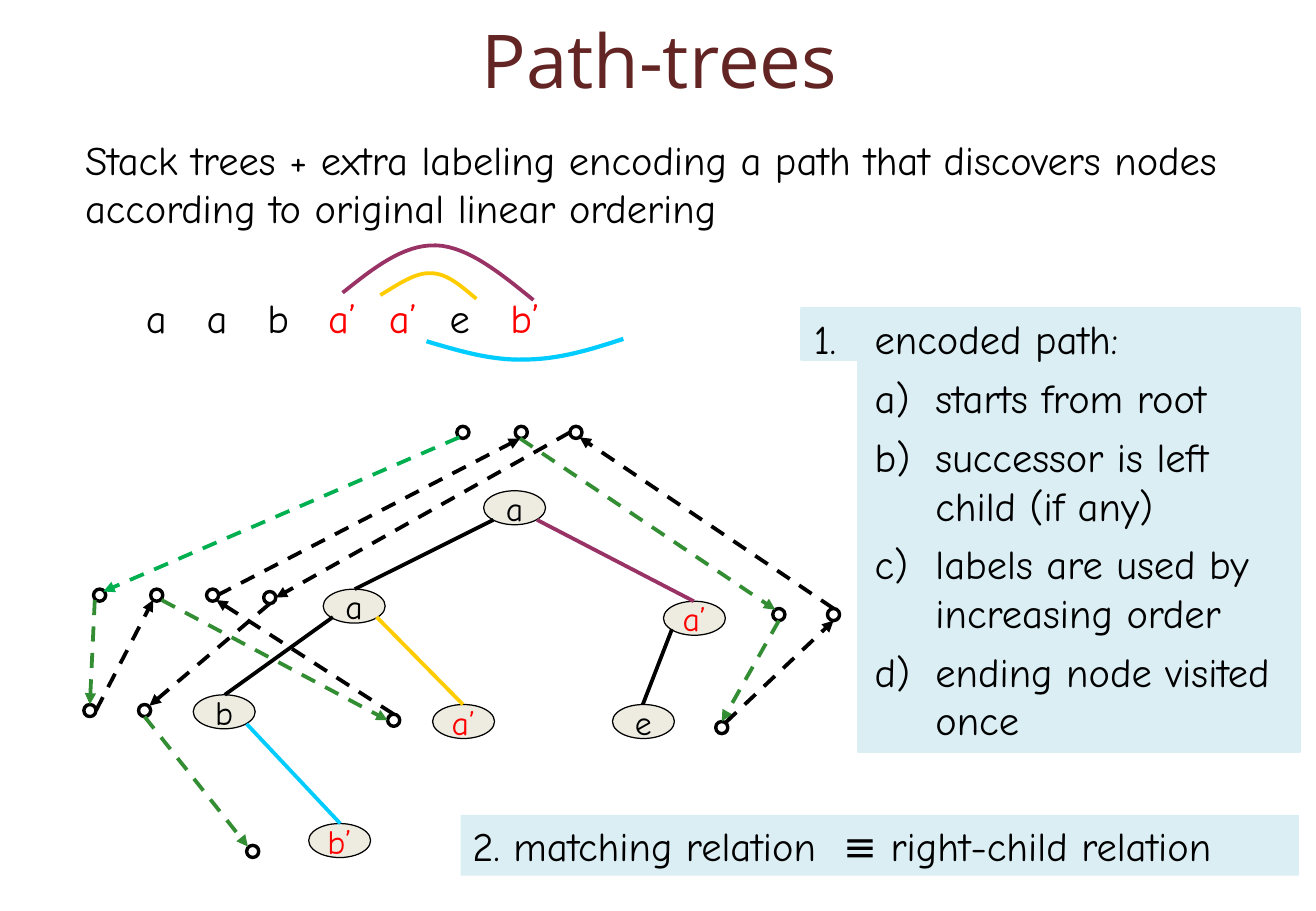
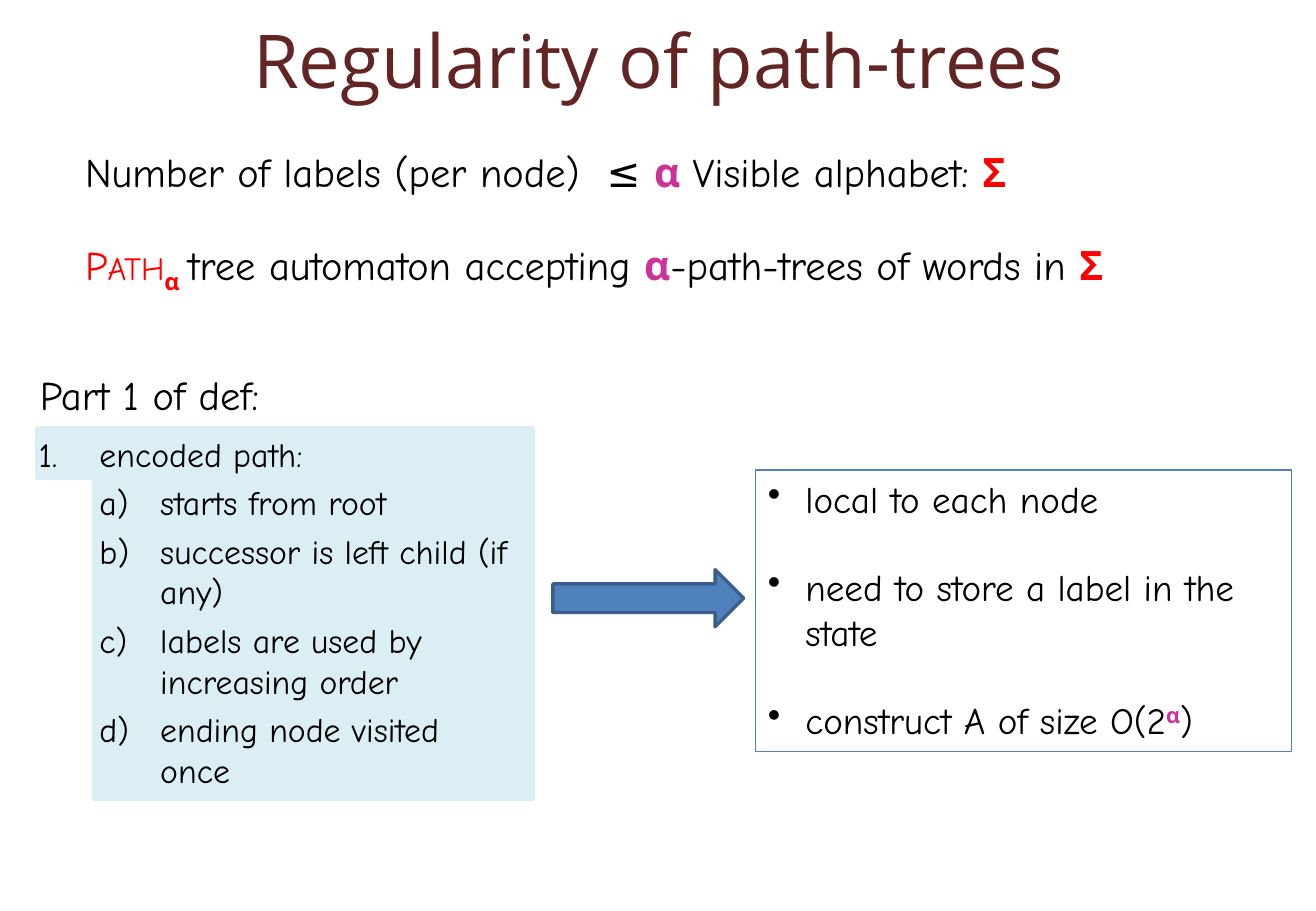
import dataclasses
import typing

import lxml.etree
import pptx
import pptx.dml.color
import pptx.enum.dml
import pptx.enum.shapes
import pptx.enum.text
import pptx.oxml.ns
import pptx.util

Inches, Pt = pptx.util.Inches, pptx.util.Pt
RGB = pptx.dml.color.RGBColor
Shape = pptx.enum.shapes.MSO_SHAPE
Anchor = pptx.enum.text.MSO_ANCHOR
Align = pptx.enum.text.PP_ALIGN
qn = pptx.oxml.ns.qn

BLACK = RGB(0, 0, 0)
WHITE = RGB(255, 255, 255)
RED = RGB(255, 0, 0)
BROWN = RGB(0x63, 0x25, 0x23)
PALE = RGB(0xDB, 0xEE, 0xF4)
CREAM = RGB(0xEE, 0xEC, 0xE1)
GOLD = RGB(0xFF, 0xCC, 0)
PLUM = RGB(0x99, 0x33, 0x66)
CYAN = RGB(0, 0xCC, 0xFF)
LEAF = RGB(0, 0xB0, 0x50)
GREEN = RGB(0x33, 0x8D, 0x33)
PINK = RGB(0xCC, 0x33, 0x99)
BLUE = RGB(0x4F, 0x81, 0xBD)
NAVY = RGB(0x3A, 0x5F, 0x8C)
HEAD, BODY = "Open Sans", "Comic Neue"


@dataclasses.dataclass
class Run:
    """A stretch of text with its own look."""
    text: str
    color: RGB = BLACK
    bold: bool = False
    base: int = 0
    caps: bool = False


@dataclasses.dataclass
class Para:
    """A paragraph: runs, space before in points, indents and tabs in inches."""
    runs: list[Run]
    before: float = 0
    left: float = 0
    hang: float = 0
    level: int = 0
    mark: tuple[str, str, str] | None = None
    tabs: tuple[float, ...] = ()


@dataclasses.dataclass
class Node:
    """A labelled tree node."""
    x: float
    y: float
    label: str
    color: RGB = BLACK


@dataclasses.dataclass
class Edge:
    """A straight line between two points."""
    start: tuple[float, float]
    end: tuple[float, float]
    color: RGB = BLACK


@dataclasses.dataclass
class Arc:
    """A chain of cubic curves: a start, then three points for each curve."""
    color: RGB
    width: float
    points: list[tuple[float, float]]


ROMAN = ("buAutoNum", "type", "arabicPeriod")
ALPHA = ("buAutoNum", "type", "alphaLcParenR")
DOT = ("buChar", "char", "•")


def put(para: typing.Any, text: str, *, size: float = 24, color: RGB = BLACK,
        font: str = BODY, bold: bool = False, base: int = 0,
        caps: bool = False) -> None:
    """Add formatted text to a paragraph."""
    run = para.add_run()
    run.text = text
    run.font.size, run.font.name, run.font.bold = Pt(size), font, bold
    run.font.color.rgb = color
    props = run._r.get_or_add_rPr()
    if base:
        props.set("baseline", str(base * 1000))
    if caps:
        props.set("cap", "small")


def fill_text(shape: typing.Any, paras: list[Para], size: float = 24,
              font: str = BODY, align: Align = Align.LEFT,
              anchor: Anchor = Anchor.TOP, wrap: bool = True) -> None:
    """Write paragraphs into a shape."""
    frame = shape.text_frame
    frame.auto_size = pptx.enum.text.MSO_AUTO_SIZE.NONE
    frame.word_wrap, frame.vertical_anchor = wrap, anchor
    for i, item in enumerate(paras):
        para = frame.add_paragraph() if i else frame.paragraphs[0]
        para.alignment, para.level = align, item.level
        para.space_before = Pt(item.before)
        props = para._p.get_or_add_pPr()
        props.set("marL", str(Inches(item.left)))
        props.set("indent", str(Inches(-item.hang)))
        tag, key, value = item.mark or ("buNone", "", "")
        mark = lxml.etree.SubElement(props, qn("a:" + tag))
        if key:
            mark.set(key, value)
        if item.tabs:
            stops = lxml.etree.SubElement(props, qn("a:tabLst"))
            for stop in item.tabs:
                lxml.etree.SubElement(stops, qn("a:tab"),
                                      pos=str(Inches(stop)), algn="l")
        for run in item.runs:
            put(para, run.text, size=size, font=font, color=run.color,
                bold=run.bold, base=run.base, caps=run.caps)


def place(shape: typing.Any, x: float, y: float, w: float, h: float) -> None:
    """Move and size a shape, in inches."""
    shape.left, shape.top = Inches(x), Inches(y)
    shape.width, shape.height = Inches(w), Inches(h)


def start(deck: typing.Any, title: str, paras: list[Para], top: float,
          width: float, height: float) -> typing.Any:
    """Add a slide with its title and body text."""
    slide = deck.slides.add_slide(deck.slide_layouts[1])
    place(slide.shapes.title, 0.55, -0.35, 9.75, 1.25)
    fill_text(slide.shapes.title, [Para([Run(title, BROWN)])], 44, HEAD,
              Align.CENTER, Anchor.BOTTOM)
    body = slide.placeholders[1]
    place(body, 0.6, top, width, height)
    fill_text(body, paras)
    return slide


def draw(shapes: typing.Any, kind: Shape, x: float, y: float, w: float,
         h: float, fill: RGB | None = None, line: RGB | None = None,
         width: float = 2) -> typing.Any:
    """Add a preset shape."""
    shape = shapes.add_shape(kind, Inches(x), Inches(y), Inches(w), Inches(h))
    shape.shadow.inherit = False
    for part, color in ((shape.fill, fill), (shape.line.fill, line)):
        if color is None:
            part.background()
        else:
            part.solid()
            part.fore_color.rgb = color
    if line is not None:
        shape.line.width = Pt(width)
    return shape


def write(shapes: typing.Any, x: float, y: float, w: float, h: float,
          paras: list[Para], size: float = 24, wrap: bool = True) -> None:
    """Add a text box."""
    box = shapes.add_textbox(Inches(x), Inches(y), Inches(w), Inches(h))
    fill_text(box, paras, size, wrap=wrap)


def join(shapes: typing.Any, edge: Edge, arrow: bool = False) -> None:
    """Draw an edge, or a dashed arrow."""
    line = shapes.add_connector(
        pptx.enum.shapes.MSO_CONNECTOR.STRAIGHT,
        *(Inches(v) for v in edge.start + edge.end))
    line.line.color.rgb, line.line.width = edge.color, Pt(2.25)
    if arrow:
        line.line.dash_style = pptx.enum.dml.MSO_LINE.DASH
        lxml.etree.SubElement(line.line._get_or_add_ln(), qn("a:tailEnd"),
                              type="triangle")
    lxml.etree.SubElement(line._element.spPr, qn("a:effectLst"))


def bend(shapes: typing.Any, arc: Arc, steps: int = 16) -> None:
    """Draw a smooth open curve."""
    dots = [arc.points[0]]
    for i in range(0, len(arc.points) - 1, 3):
        a, b, c, d = arc.points[i:i + 4]
        for n in range(1, steps + 1):
            t = n / steps
            u = 1 - t
            dots.append(tuple(u**3 * p + 3 * u * u * t * q + 3 * u * t * t * r
                              + t**3 * s for p, q, r, s in zip(a, b, c, d)))
    spots = [(Inches(x), Inches(y)) for x, y in dots]
    pen = shapes.build_freeform(*spots[0])
    pen.add_line_segments(spots[1:], close=False)
    curve = pen.convert_to_shape()
    curve.shadow.inherit = False
    curve.fill.background()
    curve.line.color.rgb, curve.line.width = arc.color, Pt(arc.width)


def rules(shapes: typing.Any, x: float, y: float, high: float, shift: float,
          box: tuple[float, float], size: float, gap: float) -> None:
    """Draw the list of path rules on its stepped panel."""
    draw(shapes, Shape.RECTANGLE, x, y, 4.09, 0.42, PALE, PALE)
    draw(shapes, Shape.RECTANGLE, x + 0.47, y + 0.42, 3.62, high, PALE, PALE)
    items = ["starts from root", "successor is left child (if any)",
             "labels are used by increasing order", "ending node visited once"]
    paras = [Para([Run("encoded path:")], 0, 0.5, 0.5, 0, ROMAN)]
    paras += [Para([Run(i)], gap, 1, 0.5, 1, ALPHA) for i in items]
    write(shapes, x + shift, y, *box, paras, size)


NODES = [Node(3.98, 4.04, "a"), Node(2.66, 4.85, "a"), Node(1.59, 5.72, "b"),
         Node(2.54, 6.78, "b’", RED), Node(3.56, 5.8, "a’", RED),
         Node(5.46, 4.95, "a’", RED), Node(5.04, 5.8, "e")]
EDGES = [Edge((4.06, 4.28), (2.92, 4.85)), Edge((2.74, 5.08), (1.85, 5.72)),
         Edge((3.1, 5.08), (3.81, 5.8), GOLD),
         Edge((4.42, 4.28), (5.71, 4.95), PLUM),
         Edge((5.53, 5.18), (5.29, 5.8)),
         Edge((2.03, 5.96), (2.8, 6.78), CYAN)]
ARCS = [Arc(GOLD, 2.25, [(3.13, 2.43), (3.28, 2.34), (3.42, 2.24), (3.55, 2.25),
                         (3.68, 2.25), (3.8, 2.36), (3.92, 2.46)]),
        Arc(PLUM, 2.25, [(2.82, 2.41), (3.07, 2.21), (3.32, 2.01), (3.59, 2.02),
                         (3.85, 2.03), (4.12, 2.25), (4.39, 2.47)]),
        Arc(CYAN, 2.5, [(3.51, 2.81), (3.78, 2.89), (4.05, 2.97), (4.32, 2.96),
                        (4.59, 2.96), (4.86, 2.88), (5.13, 2.79)])]
STOPS = [(3.76, 3.51), (4.24, 3.51), (4.69, 3.51), (0.77, 4.85), (1.24, 4.85),
         (1.7, 4.85), (2.17, 4.87), (6.36, 5.01), (6.81, 5.01), (0.69, 5.8),
         (1.14, 5.8), (2.03, 6.96), (3.19, 5.88), (5.89, 5.94)]
STEPS = [Edge((3.78, 3.6), (0.85, 4.87), LEAF),
         Edge((0.78, 4.94), (0.74, 5.8), GREEN),
         Edge((0.79, 5.85), (1.26, 4.94)),
         Edge((1.33, 4.94), (3.19, 5.93), GREEN),
         Edge((3.24, 5.88), (1.78, 4.94)), Edge((1.79, 4.9), (4.28, 3.61)),
         Edge((4.28, 3.61), (6.38, 5.02), GREEN),
         Edge((6.41, 5.11), (5.94, 5.94), GREEN),
         Edge((5.97, 5.95), (6.86, 5.11)), Edge((6.86, 5.01), (4.77, 3.6)),
         Edge((4.69, 3.56), (2.27, 4.92)), Edge((2.22, 4.97), (1.23, 5.81)),
         Edge((1.19, 5.9), (2.04, 6.97), GREEN)]


def trees(deck: typing.Any) -> None:
    """Build the slide on path-trees."""
    word = [Run("\t" + s, RED if "’" in s else BLACK)
            for s in ("a", "a", "b", "a’", "a’", "e", "b’")]
    intro = ("Stack trees + extra labeling encoding a path that discovers "
             "nodes according to original linear ordering")
    slide = start(deck, "Path-trees", [
        Para([Run(intro)], 4.8),
        Para(word, 36, tabs=(2.01, 2.4, 2.8, 3.19, 3.65, 4.11, 4.5))],
        1.06, 9.85, 2.01)
    shapes = slide.shapes
    for node in NODES:
        oval = draw(shapes, Shape.FLOWCHART_CONNECTOR, node.x, node.y, 0.51,
                    0.28, CREAM, BLACK, 0.75)
        fill_text(oval, [Para([Run(node.label, node.color)])], 20,
                  align=Align.CENTER, anchor=Anchor.MIDDLE, wrap=False)
    for edge in EDGES:
        join(shapes, edge)
    for arc in ARCS:
        bend(shapes, arc)
    for x, y in STOPS:
        draw(shapes, Shape.OVAL, x, y, 0.1, 0.1, WHITE, BLACK)
    for step in STEPS:
        join(shapes, step, arrow=True)
    rules(shapes, 6.6, 2.54, 3.23, 0, (4.17, 3.67), 24, 6)
    note = draw(shapes, Shape.RECTANGLE, 3.79, 6.71, 6.9, 0.5, PALE)
    fill_text(note, [Para([Run("2. matching relation  ≡ right-child relation")])])


def regular(deck: typing.Any) -> None:
    """Build the slide on regularity."""
    alpha, sigma = Run("α", PINK, True), Run("Σ", RED, True)
    slide = start(deck, "Regularity of path-trees", [
        Para([Run("Number of labels (per node)  ≤ "), alpha,
              Run("\tVisible alphabet: "), sigma], 4.8, tabs=(5.68,)),
        Para([Run("Path", RED, caps=True), Run("α ", RED, True, -25),
              Run("tree automaton accepting "), alpha,
              Run("-path-trees of words in "), sigma], 26.5)],
        1.16, 10.06, 1.31)
    shapes = slide.shapes
    rules(shapes.add_group_shape().shapes, 0.3, 3.52, 2.64, -0.08,
          (4.11, 3.06), 20, 4.8)
    draw(shapes, Shape.RIGHT_ARROW, 4.55, 4.69, 1.57, 0.47, BLUE, NAVY)
    facts = [[Run("local to each node")],
             [Run("need to store a label in the state")],
             [Run("construct A of size O(2"), Run("α", PINK, True, 30), Run(")")]]
    box = draw(shapes, Shape.RECTANGLE, 6.22, 3.87, 4.41, 2.32, None, BLUE, 0.75)
    fill_text(box, [Para(runs, 26 if i else 0, 0.31, 0.31, 0, DOT)
                    for i, runs in enumerate(facts)], 22)
    write(shapes, 0.23, 3, 2.32, 0.5, [Para([Run("Part 1 of def:")])], wrap=False)


deck = pptx.Presentation()
deck.slide_width, deck.slide_height = Inches(10.83), Inches(7.5)
trees(deck)
regular(deck)
deck.save("out.pptx")
